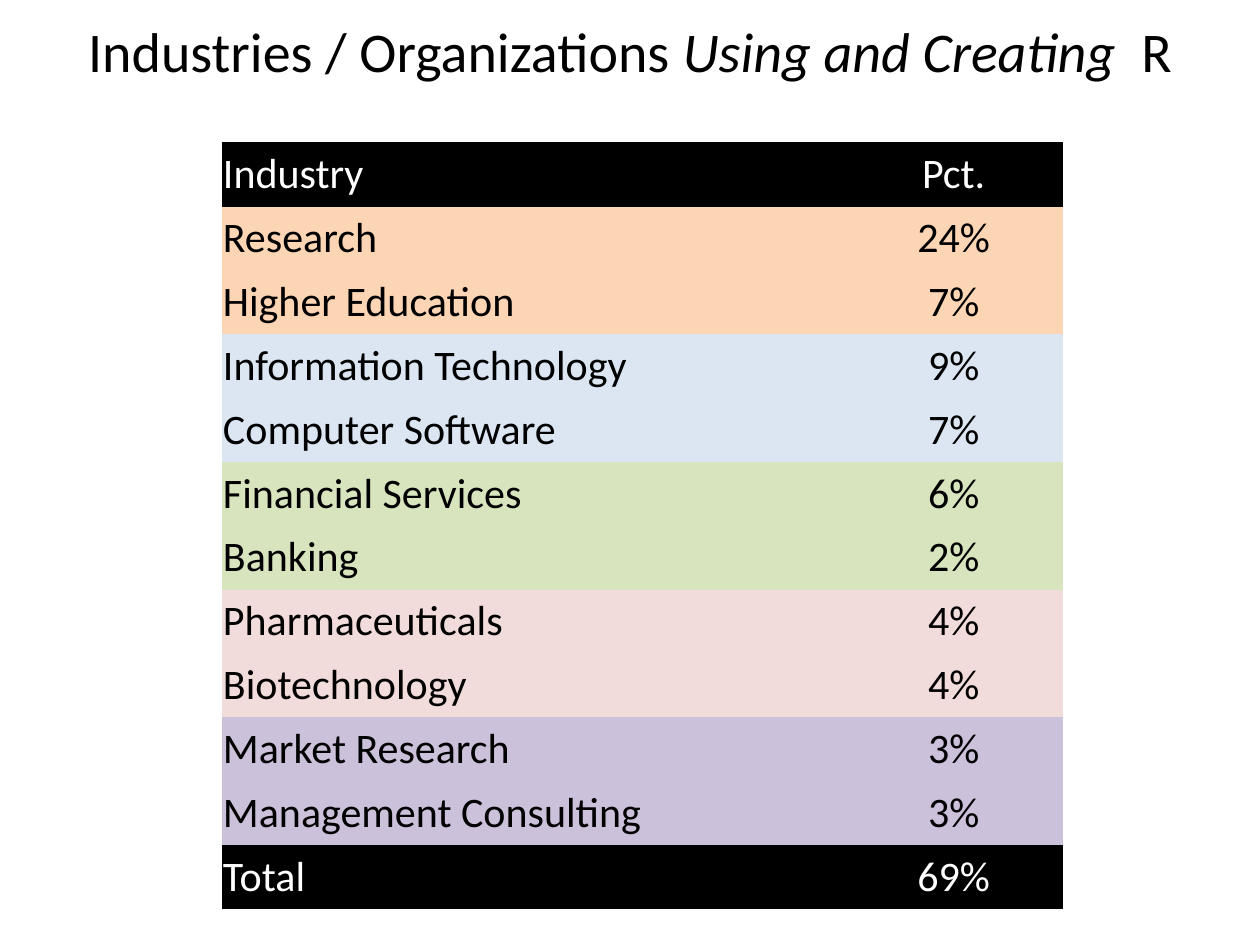
from dataclasses import dataclass

from lxml import etree
from pptx import Presentation
from pptx.dml.color import RGBColor
from pptx.enum.text import MSO_ANCHOR, MSO_AUTO_SIZE, PP_ALIGN
from pptx.oxml.ns import qn
from pptx.util import Inches, Pt

LEFT = PP_ALIGN.LEFT
CENTER = PP_ALIGN.CENTER
MIDDLE = MSO_ANCHOR.MIDDLE
BOTTOM = MSO_ANCHOR.BOTTOM
NO_AUTOFIT = MSO_AUTO_SIZE.NONE

FONT = "Calibri"
BLACK = "000000"
WHITE = "FFFFFF"
TITLE_ONLY_LAYOUT = 5
COLUMN_WIDTHS = (4.94, 1.74)
TABLE_HEIGHT = 5.59
HEADER_LINE_WIDTH = Pt(0.45)


@dataclass(frozen=True)
class IndustryRow:
    industry: str
    percent: str
    fill: str
    color: str = BLACK


ROWS = [
    IndustryRow("Industry", "Pct.", BLACK, WHITE),
    IndustryRow("Research", "24%", "FCD5B5"),
    IndustryRow("Higher Education", "7%", "FCD5B5"),
    IndustryRow("Information Technology", "9%", "DCE6F2"),
    IndustryRow("Computer Software", "7%", "DCE6F2"),
    IndustryRow("Financial Services", "6%", "D7E4BD"),
    IndustryRow("Banking", "2%", "D7E4BD"),
    IndustryRow("Pharmaceuticals", "4%", "F2DCDB"),
    IndustryRow("Biotechnology", "4%", "F2DCDB"),
    IndustryRow("Market Research", "3%", "CCC1DA"),
    IndustryRow("Management Consulting", "3%", "CCC1DA"),
    IndustryRow("Total", "69%", BLACK, WHITE),
]


def set_color(color_format, value: str) -> None:
    color_format.rgb = RGBColor.from_string(value)


def set_fill(target, value: str) -> None:
    target.fill.solid()
    set_color(target.fill.fore_color, value)


def add_text(paragraph, text: str, *, size: float, color: str = BLACK,
             italic: bool = False, alignment=LEFT) -> None:
    paragraph.alignment = alignment
    run = paragraph.add_run()
    run.text = text
    run.font.name = FONT
    run.font.size = Pt(size)
    run.font.italic = italic
    set_color(run.font.color, color)


def set_borders(cell, black_side: str) -> None:
    properties = cell._tc.get_or_add_tcPr()
    for side in ("lnL", "lnR", "lnT", "lnB"):
        line = etree.SubElement(properties, qn(f"a:{side}"))
        if side == black_side:
            line.set("w", str(HEADER_LINE_WIDTH))
            fill = etree.SubElement(line, qn("a:solidFill"))
            etree.SubElement(fill, qn("a:srgbClr"), val=BLACK)
        else:
            etree.SubElement(line, qn("a:noFill"))


def format_cell(cell, text: str, row: IndustryRow, alignment, black_side: str) -> None:
    cell.margin_left = cell.margin_right = Inches(0.01)
    cell.margin_top = cell.margin_bottom = Inches(0.05)
    cell.vertical_anchor = BOTTOM
    set_borders(cell, black_side)
    set_fill(cell, row.fill)
    add_text(cell.text_frame.paragraphs[0], text, size=24, color=row.color,
             alignment=alignment)


def add_title(slide) -> None:
    title = slide.shapes.title
    title.left, title.top = Inches(0), Inches(0)
    title.width, title.height = Inches(10), Inches(0.8)
    set_fill(title, WHITE)
    frame = title.text_frame
    frame.auto_size = NO_AUTOFIT
    frame.word_wrap = True
    frame.vertical_anchor = MIDDLE
    for text, italic in (("Industries / Organizations ", False),
                         ("Using and Creating", True), ("  R", False)):
        add_text(frame.paragraphs[0], text, size=32, italic=italic, alignment=CENTER)


def add_industry_table(slide) -> None:
    table = slide.shapes.add_table(
        len(ROWS), len(COLUMN_WIDTHS), Inches(1.76), Inches(1.13),
        Inches(sum(COLUMN_WIDTHS)), Inches(TABLE_HEIGHT)).table
    table.first_row = False
    table.horz_banding = False
    for column, width in zip(table.columns, COLUMN_WIDTHS):
        column.width = Inches(width)
    header_sides = {0: "lnB", 1: "lnT"}
    for index, row in enumerate(ROWS):
        black_side = header_sides.get(index, "")
        format_cell(table.cell(index, 0), row.industry, row, LEFT, black_side)
        format_cell(table.cell(index, 1), row.percent, row, CENTER, black_side)


def main() -> None:
    presentation = Presentation()
    presentation.slide_width = Inches(10)
    presentation.slide_height = Inches(7.5)
    slide = presentation.slides.add_slide(presentation.slide_layouts[TITLE_ONLY_LAYOUT])
    add_title(slide)
    add_industry_table(slide)
    presentation.save("out.pptx")


if __name__ == "__main__":
    main()
